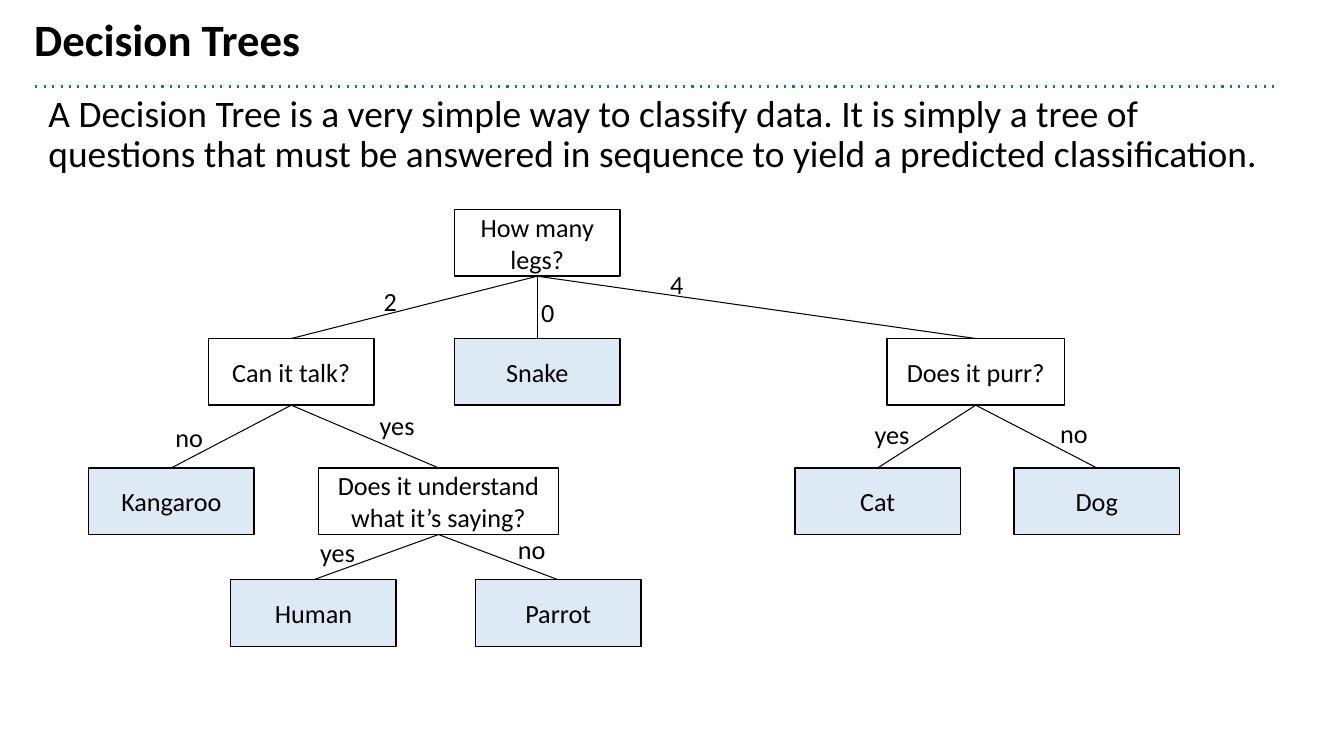
from dataclasses import dataclass

from lxml.etree import SubElement
from pptx import Presentation
from pptx.dml.color import RGBColor
from pptx.enum.shapes import MSO_CONNECTOR, MSO_SHAPE
from pptx.enum.text import MSO_ANCHOR, MSO_AUTO_SIZE, PP_ALIGN
from pptx.oxml.ns import qn
from pptx.util import Cm, Pt


@dataclass(frozen=True)
class Theme:
    font: str = "Calibri"
    ink: str = "000000"
    question: str = "FFFFFF"
    answer: str = "DDEAF6"
    rule: str = "1072BD"
    title_size: float = 32
    body_size: float = 26.7
    tree_size: float = 18.7
    outline: float = 1
    branch: float = 0.75
    rule_width: float = 1.5


def color(code):
    return RGBColor.from_string(code)


def write(frame, text, *, theme, size, bold=False, align=PP_ALIGN.LEFT,
          anchor=MSO_ANCHOR.TOP, inset=(0.25, 0.13), line_spacing=None, before=0):
    """Fill a text frame with one formatted paragraph."""
    frame.word_wrap = True
    frame.auto_size = MSO_AUTO_SIZE.NONE
    frame.vertical_anchor = anchor
    frame.margin_left = frame.margin_right = Cm(inset[0])
    frame.margin_top = frame.margin_bottom = Cm(inset[1])
    para = frame.paragraphs[0]
    para.alignment = align
    para.line_spacing = line_spacing
    para.space_before = Pt(before)
    span = para.add_run()
    span.text = text
    span.font.name = theme.font
    span.font.size = Pt(size)
    span.font.bold = bold
    span.font.color.rgb = color(theme.ink)
    return para


class TreeSlide:
    BOX_HEIGHT = 1.68
    LABEL_SIZE = (4.47, 1.02)

    def __init__(self, deck, theme):
        self.theme = theme
        self.slide = deck.slides.add_slide(deck.slide_layouts[1])
        self.shapes = self.slide.shapes

    def place(self, shape, left, top, width, height):
        shape.left, shape.top = Cm(left), Cm(top)
        shape.width, shape.height = Cm(width), Cm(height)

    def title(self, text):
        holder = self.shapes.title
        self.place(holder, 0.61, 0.33, 30.48, 1.83)
        write(holder.text_frame, text, theme=self.theme, size=self.theme.title_size,
              bold=True, line_spacing=0.9)

    def body(self, text):
        holder = self.slide.placeholders[1]
        self.place(holder, 0.89, 2.06, 31.27, 3.2)
        para = write(holder.text_frame, text, theme=self.theme,
                     size=self.theme.body_size, inset=(0.33, 0.33),
                     line_spacing=0.9, before=8)
        # Plain paragraph without bullet or indent
        properties = para._p.get_or_add_pPr()
        properties.set("marL", "0")
        properties.set("indent", "0")
        SubElement(properties, qn("a:buNone"))

    def line(self, start, end, code, width, dash=None):
        connector = self.shapes.add_connector(
            MSO_CONNECTOR.STRAIGHT, *(Cm(value) for value in (*start, *end)))
        connector.line.color.rgb = color(code)
        connector.line.width = Pt(width)
        properties = connector._element.spPr
        if dash:
            SubElement(properties.find(qn("a:ln")), qn("a:prstDash")).set("val", dash)
        SubElement(properties, qn("a:effectLst"))
        return connector

    def box(self, text, center, top, width, fill):
        box = self.shapes.add_shape(
            MSO_SHAPE.RECTANGLE, Cm(center - width / 2), Cm(top),
            Cm(width), Cm(self.BOX_HEIGHT))
        box.shadow.inherit = False
        box.fill.solid()
        box.fill.fore_color.rgb = color(fill)
        box.line.color.rgb = color(self.theme.ink)
        box.line.width = Pt(self.theme.outline)
        write(box.text_frame, text, theme=self.theme, size=self.theme.tree_size,
              align=PP_ALIGN.CENTER, anchor=MSO_ANCHOR.MIDDLE)
        return box

    def branch(self, parent, child):
        connector = self.line((0, 0), (1, 1), self.theme.ink, self.theme.branch)
        connector.begin_connect(parent, 2)
        connector.end_connect(child, 0)

    def label(self, text, left, top):
        box = self.shapes.add_textbox(
            Cm(left), Cm(top), *(Cm(value) for value in self.LABEL_SIZE))
        write(box.text_frame, text, theme=self.theme, size=self.theme.tree_size)


# Tree levels (tops) and box widths
LEVELS = (5.28, 8.53, 11.79, 14.61)
NORMAL, MEDIUM, WIDE = 4.17, 4.47, 6.05

# Text, level, center, width
QUESTIONS = [
    ("How many legs?", 0, 13.54, NORMAL),
    ("Can it talk?", 1, 7.34, NORMAL),
    ("Does it purr?", 1, 24.59, MEDIUM),
    ("Does it understand what it’s saying?", 2, 11.05, WIDE),
]
ANSWERS = [
    ("Snake", 1, 13.54, NORMAL),
    ("Kangaroo", 2, 4.32, NORMAL),
    ("Cat", 2, 22.12, NORMAL),
    ("Dog", 2, 27.64, NORMAL),
    ("Human", 3, 7.9, NORMAL),
    ("Parrot", 3, 14.07, NORMAL),
]

# Parent, child, label, label left, label top
BRANCHES = [
    ("How many legs?", "Can it talk?", "2", 9.42, 7.06),
    ("How many legs?", "Snake", "0", 13.39, 7.34),
    ("How many legs?", "Does it purr?", "4", 16.64, 6.63),
    ("Can it talk?", "Kangaroo", "no", 4.17, 10.49),
    ("Can it talk?", "Does it understand what it’s saying?", "yes", 9.32, 10.19),
    ("Does it purr?", "Cat", "yes", 21.79, 10.41),
    ("Does it purr?", "Dog", "no", 26.47, 10.39),
    ("Does it understand what it’s saying?", "Human", "yes", 7.82, 13.39),
    ("Does it understand what it’s saying?", "Parrot", "no", 12.8, 13.31),
]


def main():
    deck = Presentation()
    deck.slide_width, deck.slide_height = Cm(33.87), Cm(19.05)
    theme = Theme()
    page = TreeSlide(deck, theme)

    # Heading and definition
    page.line((0.89, 2.18), (32.18, 2.18), theme.rule, theme.rule_width, dash="dot")
    page.title("Decision Trees")
    page.body("A Decision Tree is a very simple way to classify data. It is simply "
              "a tree of questions that must be answered in sequence to yield a "
              "predicted classification.")

    # Questions and answers
    nodes = {}
    for group, fill in ((QUESTIONS, theme.question), (ANSWERS, theme.answer)):
        for text, level, center, width in group:
            nodes[text] = page.box(text, center, LEVELS[level], width, fill)

    # Branches with their labels
    for parent, child, text, left, top in BRANCHES:
        page.branch(nodes[parent], nodes[child])
        page.label(text, left, top)

    deck.save("out.pptx")


if __name__ == "__main__":
    main()
